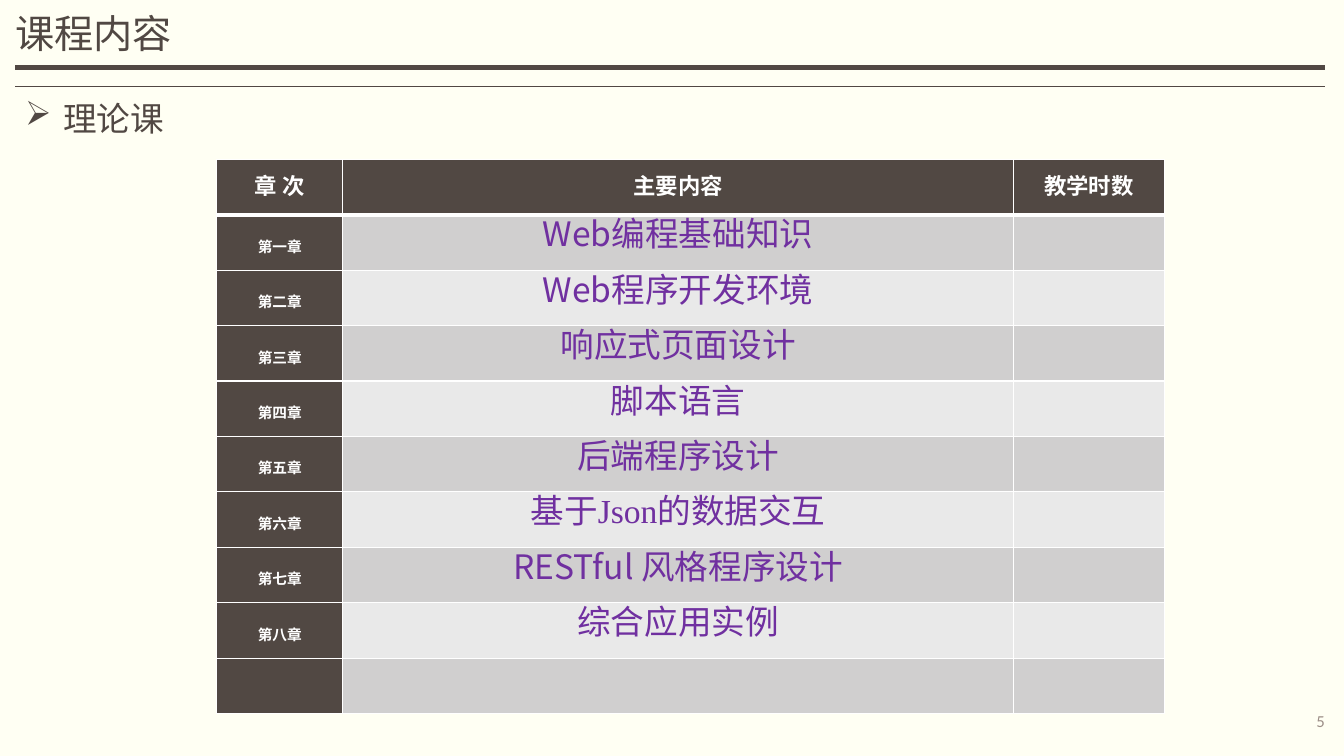
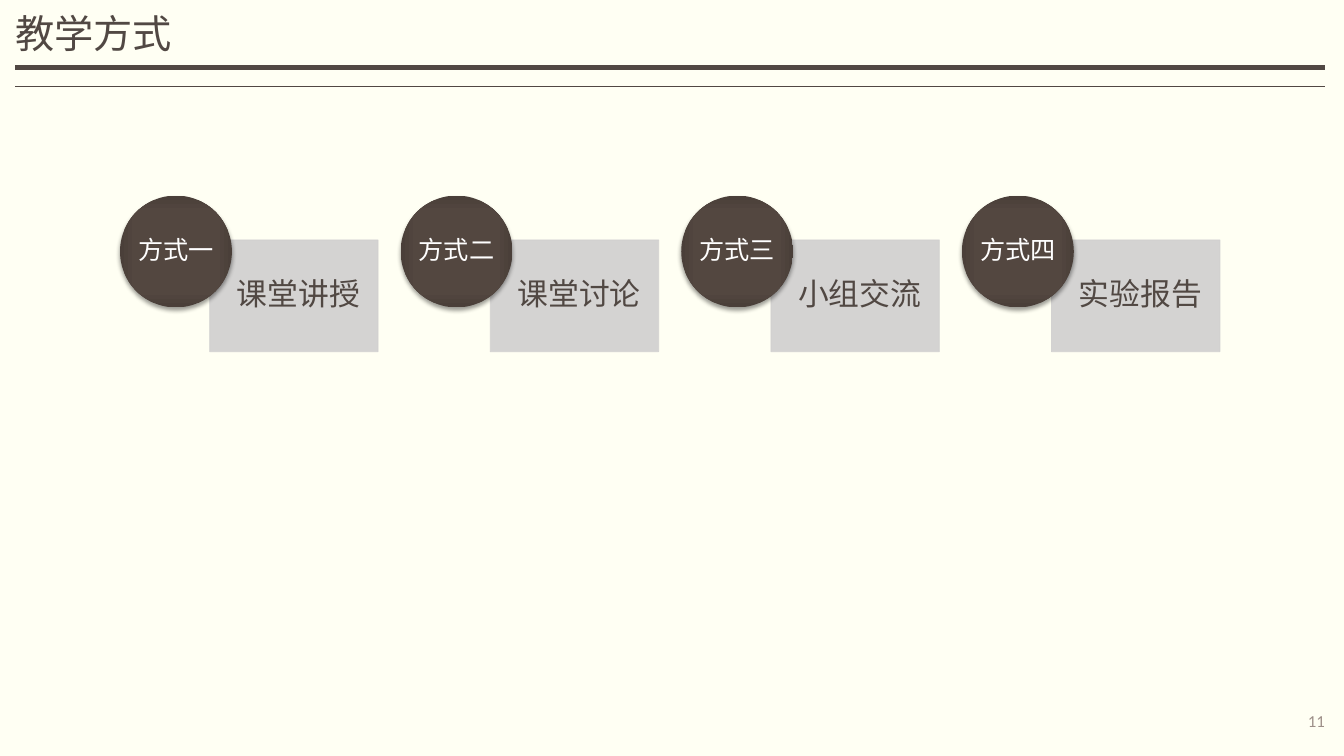
from dataclasses import dataclass
from typing import Optional

from lxml import etree
from pptx import Presentation
from pptx.dml.color import RGBColor
from pptx.enum.shapes import MSO_CONNECTOR as Connector, MSO_SHAPE as Preset
from pptx.enum.text import MSO_ANCHOR as Anchor, PP_ALIGN as Align
from pptx.oxml.ns import qn
from pptx.util import Inches, Pt

# Shared style
WIDTH, HEIGHT = 13.33, 7.5
MARGIN = 0.15
RIGHT_EDGE = 13.14
PAPER, INK, WHITE = "FFFFF3", "514843", "FFFFFF"
GREY, LIGHT_GREY, PURPLE, NUMBER = "D0CFCF", "E9E9E9", "7030A0", "9D8F88"
SANS, LATIN, SERIF = "Noto Sans CJK SC", "Calibri", "Times New Roman"
BAR_INSETS = (0, 0.05, 0, 0.05)
CELL_INSETS = (0.07, 0, 0.07, 0)
BULLET_INDENT = 0.38


@dataclass(frozen=True)
class Box:
    left: float
    top: float
    width: float
    height: float

    def lengths(self) -> tuple:
        return tuple(Inches(n) for n in (self.left, self.top, self.width, self.height))


@dataclass(frozen=True)
class Chapter:
    number: str
    topic: str
    lead: str = ""


@dataclass(frozen=True)
class Method:
    label: str
    name: str


HEADERS = ("章 次", "主要内容", "教学时数")
CHAPTERS = (
    Chapter("第一章", "编程基础知识", lead="Web"),
    Chapter("第二章", "程序开发环境", lead="Web"),
    Chapter("第三章", "响应式页面设计"),
    Chapter("第四章", "脚本语言"),
    Chapter("第五章", "后端程序设计"),
    Chapter("第六章", "基于Json的数据交互"),
    Chapter("第七章", "风格程序设计", lead="RESTful "),
    Chapter("第八章", "综合应用实例"),
)
METHODS = (
    Method("方式一", "课堂讲授"),
    Method("方式二", "课堂讨论"),
    Method("方式三", "小组交流"),
    Method("方式四", "实验报告"),
)

# Table grid
TABLE_LEFT, TABLE_TOP = 2.15, 1.58
COLUMNS = (1.25, 6.65, 1.5)
ROW_HEIGHT = 0.55
ROW_COUNT = len(CHAPTERS) + 2

# Card grid: a circle over the corner of a panel
CARDS_LEFT, CARDS_TOP, CARDS_WIDTH = 1.19, 1.94, 10.91
CIRCLE = 1.11
PANEL_WIDTH, PANEL_HEIGHT = 1.67, 1.11
PANEL_SHIFT, PANEL_DROP = 0.89, 0.44
CARD_WIDTH = PANEL_SHIFT + PANEL_WIDTH
CARD_PITCH = (CARDS_WIDTH - CARD_WIDTH) / (len(METHODS) - 1)


def color(hex_code: str) -> RGBColor:
    return RGBColor.from_string(hex_code)


def add_element(parent, tag: str, **attributes):
    values = {name: str(value) for name, value in attributes.items()}
    return etree.SubElement(parent, qn(tag), values)


def set_alpha(fill_owner, percent: int) -> None:
    for code in fill_owner.iter(qn("a:srgbClr")):
        add_element(code, "a:alpha", val=percent * 1000)


def add_run(paragraph, text: str, *, size: float, font: str, ink: str, bold: bool) -> None:
    run = paragraph.add_run()
    run.text = text
    run.font.size, run.font.name, run.font.bold = Pt(size), font, bold
    run.font.color.rgb = color(ink)
    add_element(run.font._element, "a:ea", typeface=SANS)


def write_text(frame, text: str, *, size: float, font: str = SANS, ink: str = INK,
               bold: bool = False, lead: str = "", align=Align.LEFT,
               anchor=Anchor.MIDDLE, insets: Optional[tuple] = None,
               line_spacing=None, space_after: float = 0, bullet: str = "") -> None:
    """Fill a frame with one paragraph; a lead is set in the sans font."""
    frame.word_wrap = True
    frame.vertical_anchor = anchor
    if insets is not None:
        (frame.margin_left, frame.margin_top,
         frame.margin_right, frame.margin_bottom) = map(Inches, insets)
    paragraph = frame.paragraphs[0]
    paragraph.alignment = align
    paragraph.line_spacing = line_spacing
    paragraph.space_after = Pt(space_after)
    if bullet:
        properties = paragraph._p.get_or_add_pPr()
        properties.set("marL", str(Inches(BULLET_INDENT)))
        properties.set("indent", str(-Inches(BULLET_INDENT)))
        add_element(properties, "a:buChar", char=bullet)
    if lead:
        add_run(paragraph, lead, size=size, font=SANS, ink=ink, bold=bold)
    add_run(paragraph, text, size=size, font=font, ink=ink, bold=bold)


def add_text(slide, box: Box, text: str, **text_format) -> None:
    write_text(slide.shapes.add_textbox(*box.lengths()).text_frame, text, **text_format)


def add_rule(slide, top: float, weight: float) -> None:
    line = slide.shapes.add_connector(
        Connector.STRAIGHT, *map(Inches, (RIGHT_EDGE, top, MARGIN, top)))
    line.line.color.rgb = color(INK)
    line.line.width = Pt(weight)
    add_element(line._element.spPr, "a:effectLst")


def add_page(presentation, title: str, number: int):
    """Add a blank slide with its title, rules and number."""
    slide = presentation.slides.add_slide(presentation.slide_layouts[6])
    add_rule(slide, 0.67, 3)
    add_rule(slide, 0.86, 1)
    add_text(slide, Box(MARGIN, 0.08, RIGHT_EDGE - MARGIN, 0.53), title, size=28,
             anchor=Anchor.BOTTOM, insets=BAR_INSETS, line_spacing=0.9)
    add_text(slide, Box(RIGHT_EDGE - 2, 6.95, 2, 0.4), str(number), size=12, font=LATIN,
             ink=NUMBER, align=Align.RIGHT, insets=BAR_INSETS)
    return slide


def style_cell(cell, row: int, column: int) -> None:
    """Set the fill and white borders; the rule under the header is thick."""
    properties = cell._tc.get_or_add_tcPr()
    weights = {"a:lnL": 1, "a:lnR": 1, "a:lnT": 3 if row == 1 else 1,
               "a:lnB": 3 if row == 0 else 1}
    for tag, weight in weights.items():
        border = add_element(properties, tag, w=Pt(weight))
        add_element(add_element(border, "a:solidFill"), "a:srgbClr", val=WHITE)
    cell.fill.solid()
    band = GREY if row % 2 else LIGHT_GREY
    cell.fill.fore_color.rgb = color(INK if row == 0 or column == 0 else band)


def write_cell(cell, text: str, **text_format) -> None:
    cell.vertical_anchor = Anchor.MIDDLE
    (cell.margin_left, cell.margin_top,
     cell.margin_right, cell.margin_bottom) = map(Inches, CELL_INSETS)
    write_text(cell.text_frame, text, align=Align.CENTER, line_spacing=Pt(20),
               anchor=None, **text_format)


def add_chapter_table(slide) -> None:
    box = Box(TABLE_LEFT, TABLE_TOP, sum(COLUMNS), ROW_HEIGHT * ROW_COUNT)
    table = slide.shapes.add_table(ROW_COUNT, len(COLUMNS), *box.lengths()).table
    table.horz_banding = False
    for column, width in zip(table.columns, COLUMNS):
        column.width = Inches(width)
    for row in range(ROW_COUNT):
        for column in range(len(COLUMNS)):
            style_cell(table.cell(row, column), row, column)
    label = dict(font=LATIN, ink=WHITE, bold=True, space_after=8)
    for column, header in enumerate(HEADERS):
        write_cell(table.cell(0, column), header, size=16, **label)
    for row, chapter in enumerate(CHAPTERS, start=1):
        write_cell(table.cell(row, 0), chapter.number, size=10.5, **label)
        write_cell(table.cell(row, 1), chapter.topic, lead=chapter.lead,
                   size=24, font=SERIF, ink=PURPLE)


def shade_circle(circle) -> None:
    """Give a circle its gradient from the centre and its soft shadow."""
    properties = circle._element.spPr
    gradient = etree.Element(qn("a:gradFill"), rotWithShape="1")
    stops = add_element(gradient, "a:gsLst")
    for percent, code in ((0, "544740"), (71, "534740"), (100, "4A3F39")):
        add_element(add_element(stops, "a:gs", pos=percent * 1000), "a:srgbClr", val=code)
    focus = add_element(gradient, "a:path", path="rect")
    add_element(focus, "a:fillToRect", l=50000, t=50000, r=50000, b=50000)
    properties.find(qn("a:prstGeom")).addnext(gradient)
    circle.line.fill.background()
    shadow = add_element(add_element(properties, "a:effectLst"), "a:outerShdw",
                         blurRad=Pt(3.1), dist=Pt(2), dir=90 * 60000, rotWithShape=0)
    add_element(add_element(shadow, "a:srgbClr", val="000000"), "a:alpha", val=38000)


def add_method_card(slide, method: Method, left: float) -> None:
    panel_box = Box(left + PANEL_SHIFT, CARDS_TOP + PANEL_DROP, PANEL_WIDTH, PANEL_HEIGHT)
    panel = slide.shapes.add_shape(Preset.RECTANGLE, *panel_box.lengths())
    panel.shadow.inherit = False
    panel.fill.solid()
    panel.fill.fore_color.rgb = color(GREY)
    panel.line.color.rgb = color(GREY)
    panel.line.width = Pt(0.5)
    set_alpha(panel._element.spPr, 90)
    write_text(panel.text_frame, method.name, size=22, insets=(0.27, 0.17, 0.15, 0.17),
               line_spacing=0.9, space_after=7.7)

    circle_box = Box(left, CARDS_TOP, CIRCLE, CIRCLE)
    circle = slide.shapes.add_shape(Preset.OVAL, *circle_box.lengths())
    shade_circle(circle)
    write_text(circle.text_frame, method.label, size=18, ink=WHITE, align=Align.CENTER,
               insets=(0, 0, 0, 0), line_spacing=0.9, space_after=6.3)


def main() -> None:
    presentation = Presentation()
    presentation.slide_width, presentation.slide_height = Inches(WIDTH), Inches(HEIGHT)
    background = presentation.slide_master.background.fill
    background.solid()
    background.fore_color.rgb = color(PAPER)

    # Course content
    content = add_page(presentation, "课程内容", 5)
    add_text(content, Box(MARGIN, 0.92, 3.28, 0.5), "理论课", size=24, font=LATIN,
             anchor=Anchor.TOP, bullet="➢")
    add_chapter_table(content)

    # Teaching methods
    teaching = add_page(presentation, "教学方式", 11)
    for index, method in enumerate(METHODS):
        add_method_card(teaching, method, CARDS_LEFT + index * CARD_PITCH)

    presentation.save("out.pptx")


if __name__ == "__main__":
    main()
